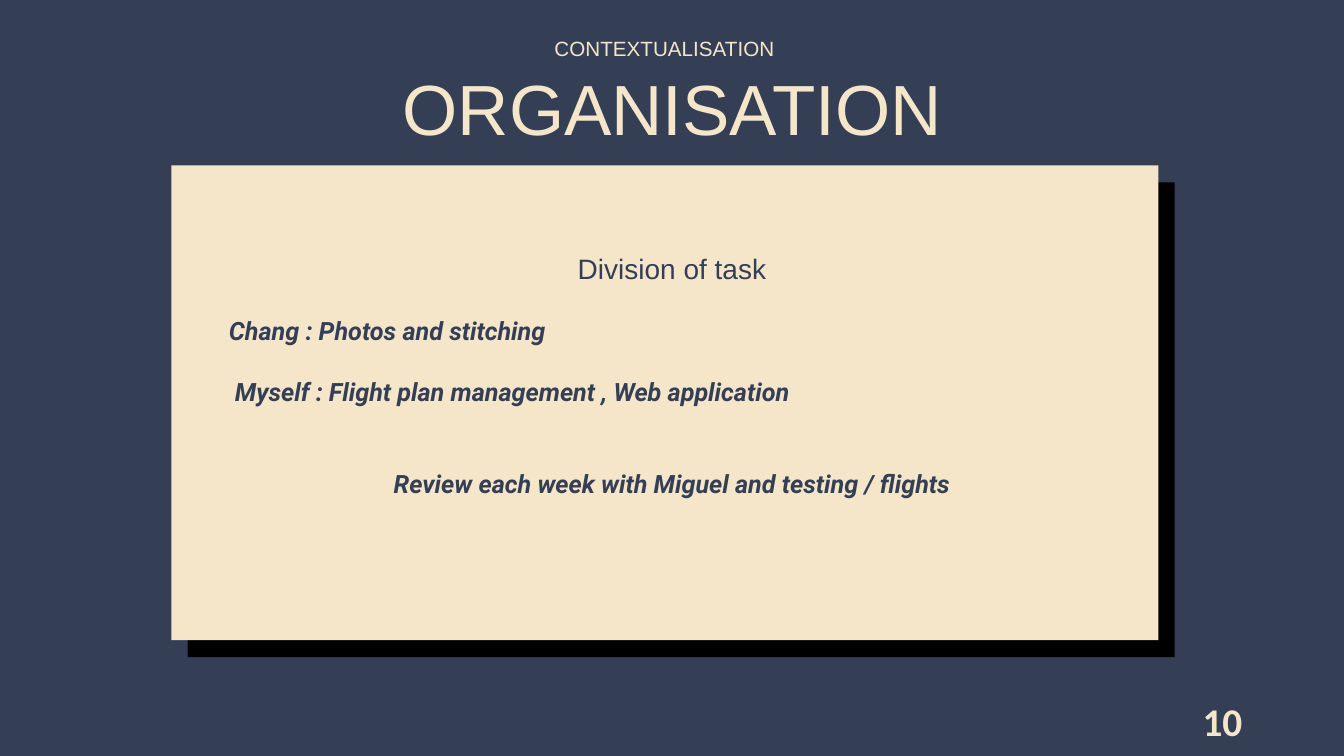
from dataclasses import dataclass

from lxml import etree
from pptx import Presentation
from pptx.dml.color import RGBColor
from pptx.enum.shapes import MSO_SHAPE
from pptx.enum.text import MSO_ANCHOR, MSO_AUTO_SIZE, PP_ALIGN
from pptx.oxml.ns import qn
from pptx.util import Inches, Pt

RECTANGLE = MSO_SHAPE.RECTANGLE
TOP, MIDDLE = MSO_ANCHOR.TOP, MSO_ANCHOR.MIDDLE
NO_AUTOFIT = MSO_AUTO_SIZE.NONE
LEFT, CENTER, RIGHT = PP_ALIGN.LEFT, PP_ALIGN.CENTER, PP_ALIGN.RIGHT

NAVY, CREAM, BLACK = "343F56", "F5E6CA", "000000"
CARD_WIDTH, CARD_HEIGHT = 9.79, 4.71


@dataclass
class Line:
    text: str
    size: float
    font: str
    color: str
    align: PP_ALIGN = CENTER
    bold: bool = False
    italic: bool = False
    before: float = 0
    spacing: float | None = None
    indent: float = 0


@dataclass
class Card:
    left: float
    top: float
    color: str


@dataclass
class Task(Line):
    size: float = 18
    font: str = "Roboto"
    color: str = NAVY
    align: PP_ALIGN = LEFT
    bold: bool = True
    italic: bool = True
    before: float = 22


CARDS = [Card(1.86, 1.81, BLACK), Card(1.7, 1.64, CREAM)]
TITLE = Line("ORGANISATION", 50.7, "Arial", CREAM, spacing=70.9)
SECTION = Line("CONTEXTUALISATION", 14.7, "Arial", CREAM, spacing=20.5)
NUMBER = Line("10", 28, "Calibri", CREAM, RIGHT, bold=True)
TASKS = [
    Line("Division of task", 20, "Arial", NAVY),
    Task("Chang : Photos and stitching"),
    Task("Myself : Flight plan management , Web application", indent=0.06),
    Task("Review each week with Miguel and testing / flights", align=CENTER, before=44),
]


def rgb(color: str) -> RGBColor:
    return RGBColor.from_string(color)


def place(box, left: float, top: float, width: float, height: float) -> None:
    box.left, box.top = Inches(left), Inches(top)
    box.width, box.height = Inches(width), Inches(height)


def write(box, lines: list[Line], anchor=TOP, inset: bool = True) -> None:
    """Fill a box with formatted paragraphs, without bullets."""
    frame = box.text_frame
    frame.text = "\n".join(line.text for line in lines)
    frame.word_wrap = True
    frame.auto_size = NO_AUTOFIT
    frame.vertical_anchor = anchor
    if not inset:
        frame.margin_left = frame.margin_right = 0
        frame.margin_top = frame.margin_bottom = 0
    for para, line in zip(frame.paragraphs, lines):
        properties = para._p.get_or_add_pPr()
        properties.set("marL", str(Inches(line.indent)))
        properties.set("indent", "0")
        etree.SubElement(properties, qn("a:buNone"))
        para.alignment = line.align
        para.space_before = Pt(line.before)
        if line.spacing:
            para.line_spacing = Pt(line.spacing)
        for span in para.runs:
            span.font.name = line.font
            span.font.size = Pt(line.size)
            span.font.bold = line.bold
            span.font.italic = line.italic
            span.font.color.rgb = rgb(line.color)


def add_text(page, line: Line, left: float, top: float, width: float,
             height: float, anchor=TOP, inset: bool = True) -> None:
    box = page.shapes.add_textbox(
        Inches(left), Inches(top), Inches(width), Inches(height))
    write(box, [line], anchor, inset)


def add_card(page, card: Card) -> None:
    shape = page.shapes.add_shape(
        RECTANGLE, Inches(card.left), Inches(card.top),
        Inches(CARD_WIDTH), Inches(CARD_HEIGHT))
    shape.shadow.inherit = False
    shape.fill.solid()
    shape.fill.fore_color.rgb = rgb(card.color)
    shape.line.fill.background()


def main() -> None:
    deck = Presentation()
    deck.slide_width, deck.slide_height = Inches(13.33), Inches(7.5)
    page = deck.slides.add_slide(deck.slide_layouts[1])
    page.background.fill.solid()
    page.background.fill.fore_color.rgb = rgb(NAVY)

    title, body = page.shapes.title, page.placeholders[1]
    place(title, 2.02, 0.5, 9.3, 0.84)
    write(title, [TITLE], inset=False)
    add_text(page, SECTION, 5.02, 0.32, 3.14, 0.25, inset=False)
    add_text(page, NUMBER, 9.42, 6.95, 3, 0.4, anchor=MIDDLE)

    for card in CARDS:
        add_card(page, card)

    place(body, 2.17, 2.44, 8.99, 2.63)
    write(body, TASKS)
    body.element.getparent().append(body.element)  # bring in front of the cards

    deck.save("out.pptx")


if __name__ == "__main__":
    main()
